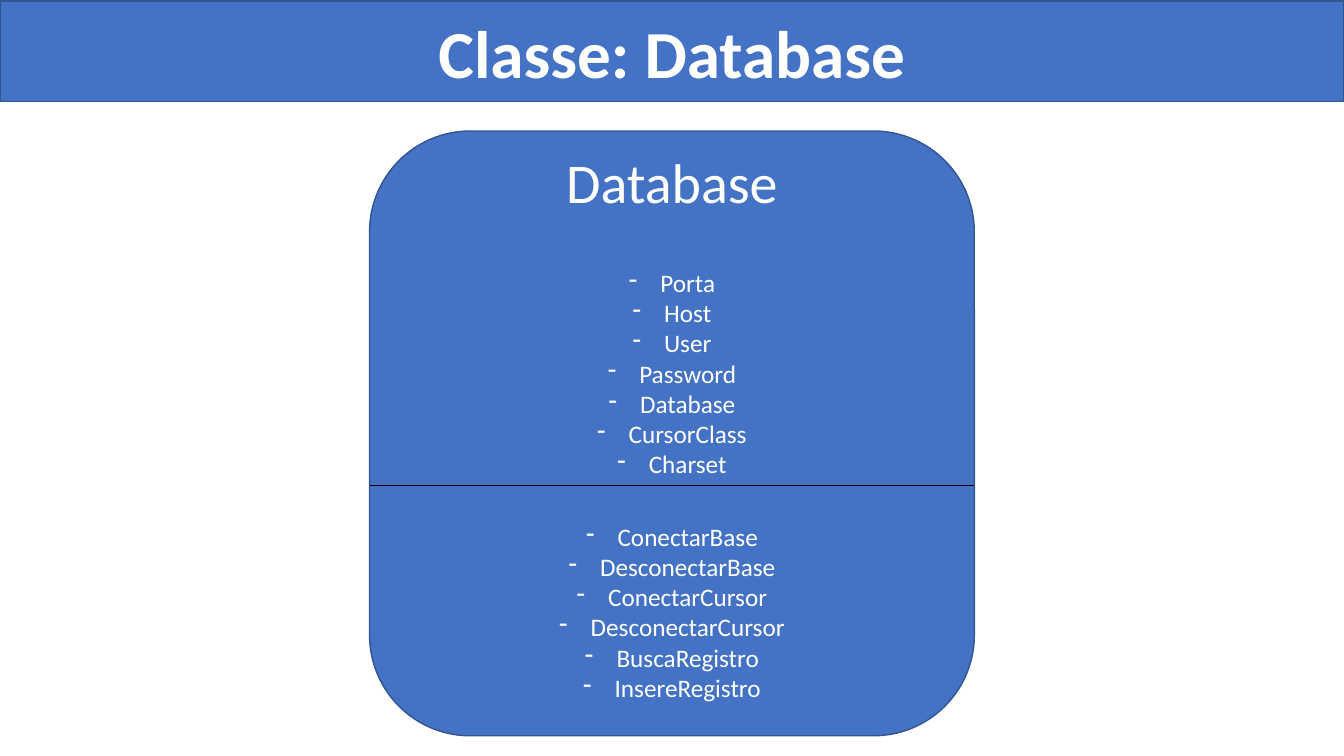
import pptx
import pptx.util
import pptx.dml.color
import pptx.enum.shapes
import pptx.enum.text
import pptx.oxml
import pptx.oxml.ns

Pt = pptx.util.Pt
BLUE, EDGE, WHITE, BLACK = "4472C4", "325491", "FFFFFF", "000000"
FIELDS = ["Porta", "Host", "User", "Password", "Database", "CursorClass", "Charset"]
METHODS = ["ConectarBase", "DesconectarBase", "ConectarCursor",
           "DesconectarCursor", "BuscaRegistro", "InsereRegistro"]


def tint(part, color):
    if hasattr(part, "solid"):
        part.solid()
        part = part.fore_color
    elif hasattr(part, "fill"):
        part = part.fill
        part.solid()
        part = part.fore_color
    part.rgb = pptx.dml.color.RGBColor.from_string(color)


def apply(item, style):
    for key, value in style.items():
        setattr(item, key, value)


def place(shape, box):
    apply(shape, dict(zip(("left", "top", "width", "height"), map(Pt, box))))


def paint(shape):
    tint(shape.fill, BLUE)
    tint(shape.line, EDGE)
    shape.line.width = Pt(1)


def write(shape, lines, size, bold=False, anchor="TOP"):
    frame = shape.text_frame
    apply(frame, {
        "text": "\n".join(lines),
        "word_wrap": True,
        "auto_size": pptx.enum.text.MSO_AUTO_SIZE.NONE,
        "vertical_anchor": getattr(pptx.enum.text.MSO_ANCHOR, anchor),
    })
    for para in frame.paragraphs:
        apply(para, {
            "alignment": pptx.enum.text.PP_ALIGN.CENTER,
            "space_before": Pt(0),
            "space_after": Pt(0),
        })
        font = para.runs[0].font
        apply(font, {"name": "Calibri", "size": Pt(size), "bold": bold})
        tint(font.color, WHITE)


def header(slide, box):
    title = slide.shapes.title
    place(title, box)
    paint(title)
    write(title, ["Classe: Database"], 48, True, "MIDDLE")


def dashes(slide, holder, lines, box):
    place(holder, box)
    write(holder, lines, 18)
    for para in holder.text_frame.paragraphs:
        props = para._p.get_or_add_pPr()
        for key, value in {"marL": Pt(22.5), "indent": -Pt(22.5)}.items():
            props.set(key, str(value))
        for tag, attrs in (("a:buFontTx", {}), ("a:buChar", {"char": "-"})):
            mark = pptx.oxml.ns.qn(tag)
            node = props.makeelement(mark, attrs)
            props.append(node)
    slide.shapes.element.append(holder.element)


def card(slide, box):
    left, top, width, height = box
    shapes = slide.shapes
    panel = shapes.add_shape(
        pptx.enum.shapes.MSO_SHAPE.ROUNDED_RECTANGLE, *map(Pt, box))
    panel.shadow.inherit = False
    paint(panel)

    split = top + 253.4
    rule = shapes.add_connector(
        pptx.enum.shapes.MSO_CONNECTOR.STRAIGHT,
        *map(Pt, (left, split, left + width, split)))
    tint(rule.line, BLACK)
    rule.line.width = Pt(0.5)
    props = rule.element.spPr
    props.append(props.makeelement(pptx.oxml.ns.qn("a:effectLst"), {}))

    label = shapes.add_textbox(*map(Pt, (left, top + 8.6, width, 55.4)))
    write(label, ["Database"], 40)

    first, second = list(slide.placeholders)[1:]
    dashes(slide, first, FIELDS, (left, top + 93.6, width, 159.8))
    dashes(slide, second, METHODS, (left, top + 275, width, 138.2))


def main():
    deck = pptx.Presentation()
    apply(deck, {"slide_width": Pt(960), "slide_height": Pt(540)})
    slide = deck.slides.add_slide(deck.slide_layouts[3])
    header(slide, (0, 0.72, 960, 72))
    card(slide, (264, 93.6, 432, 432))
    deck.save("out.pptx")


if __name__ == "__main__":
    main()
